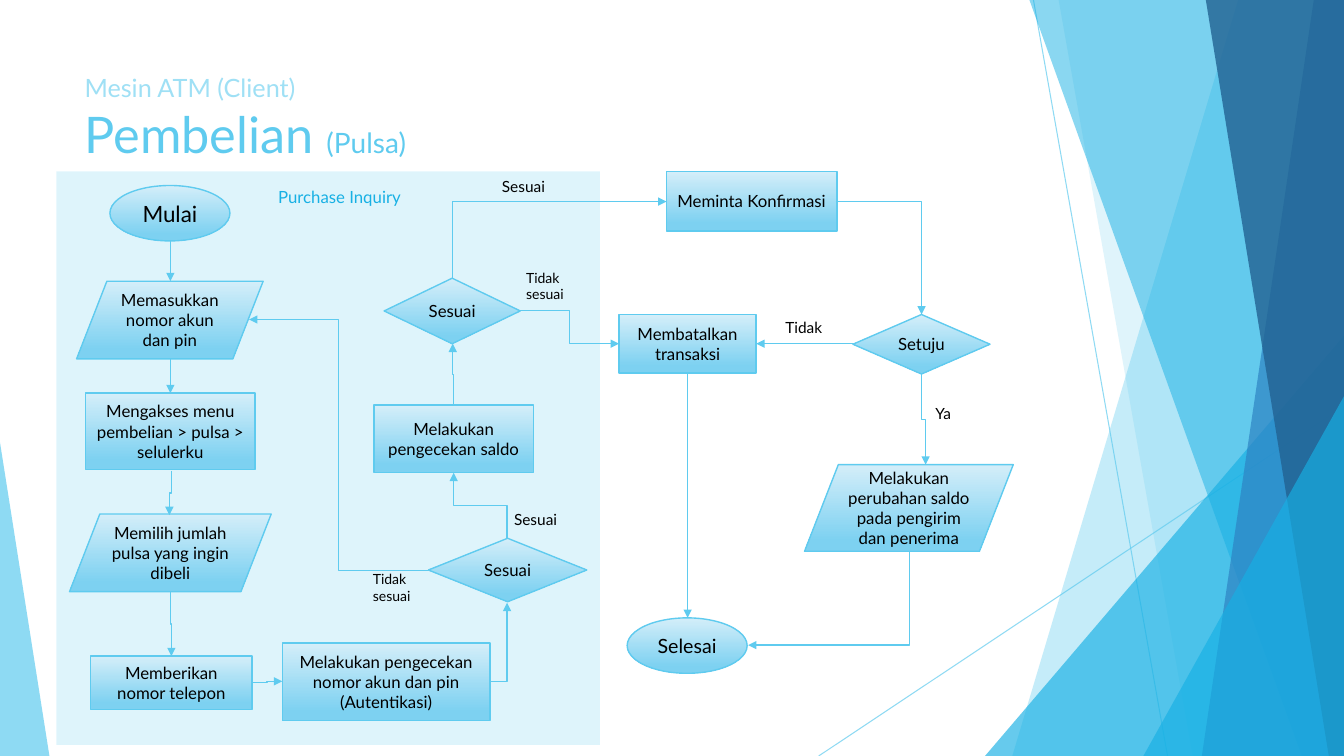
from dataclasses import dataclass
from typing import Any, Optional

from lxml.etree import SubElement
from pptx import Presentation
from pptx.dml.color import RGBColor
from pptx.enum.shapes import MSO_CONNECTOR as LineKind, MSO_SHAPE as Kind
from pptx.enum.text import MSO_ANCHOR as Anchor, MSO_AUTO_SIZE as AutoSize, PP_ALIGN as Align
from pptx.oxml.ns import qn
from pptx.util import Emu, Pt

PX = 9144  # 100 px to the inch
WIDTH, HEIGHT = 1333, 750
FONT = "Lato"
COLORS = {
    "sky": "5FCBEF", "pale": "9FE0F5", "cyan": "17B0E4", "blue": "2E83C3", "navy": "226292",
    "panel": "BFEAF9", "top": "D4EEF9", "bottom": "7DD1F1", "black": "000000",
}
BOX_FRAME = {"word_wrap": True, "vertical_anchor": Anchor.MIDDLE}
LABEL_FRAME = {"word_wrap": False, "auto_size": AutoSize.SHAPE_TO_FIT_TEXT}
TITLE_FRAME = {"word_wrap": True, "vertical_anchor": Anchor.TOP}
Point = tuple[int, int]
Join = Optional[tuple[str, int]]


@dataclass
class Facet:
    corners: list[Point]
    color: str
    alpha: int


@dataclass
class Wedge:
    area: tuple[int, int, int, int]
    apex: int
    color: str
    alpha: int


@dataclass
class Step:
    name: str
    kind: Kind
    area: tuple[int, int, int, int]
    text: str
    size: int = 12


@dataclass
class Link:
    start: Point
    end: Point
    axis: str = "v"  # direction of the first leg
    corners: int = 2
    begin_join: Join = None
    end_join: Join = None


@dataclass
class Label:
    area: tuple[int, int, int, int]
    text: str
    size: int = 11
    color: str = "black"


FACETS_BACK = [
    Facet([(1228, 0), (1333, 0), (1333, 750), (1004, 750)], "sky", 36),
    Facet([(1050, 0), (1333, 0), (1333, 750), (1183, 750)], "sky", 20),
    Wedge((977, 333, 356, 417), 1, "cyan", 66),
    Facet([(1021, 0), (1333, 0), (1333, 750), (1291, 750)], "cyan", 50),
    Facet([(1303, 0), (1333, 0), (1333, 750), (1192, 750)], "blue", 70),
    Facet([(1196, 0), (1333, 0), (1333, 750), (1318, 750)], "navy", 80),
    Wedge((1134, 393, 199, 357), 1, "cyan", 66),
    Wedge((0, 439, 49, 311), 0, "sky", 70),
]
RAYS = [Link((1025, 0), (1158, 750)), Link((1333, 403), (812, 750))]
STEPS = [
    Step("start", Kind.OVAL, (109, 184, 119, 55), "Mulai", 16),
    Step("finish", Kind.OVAL, (622, 613, 119, 55), "Selesai", 14),
    Step("confirm", Kind.RECTANGLE, (661, 170, 169, 59), "Meminta Konfirmasi"),
    Step("account", Kind.PARALLELOGRAM, (76, 279, 185, 77), "Memasukkan nomor akun dan pin"),
    Step("amount", Kind.PARALLELOGRAM, (69, 510, 200, 77), "Memilih jumlah pulsa yang ingin dibeli"),
    Step("login valid", Kind.DIAMOND, (425, 534, 157, 63), "Sesuai"),
    Step("transfer", Kind.PARALLELOGRAM, (798, 461, 207, 86),
         "Melakukan perubahan saldo pada pengirim dan penerima"),
    Step("menu", Kind.RECTANGLE, (85, 390, 168, 76), "Mengakses menu pembelian > pulsa > selulerku"),
    Step("phone", Kind.RECTANGLE, (90, 651, 160, 53), "Memberikan nomor telepon"),
    Step("balance valid", Kind.DIAMOND, (381, 276, 135, 65), "Sesuai"),
    Step("agree", Kind.DIAMOND, (846, 312, 136, 59), "Setuju"),
    Step("cancel", Kind.RECTANGLE, (614, 312, 136, 58), "Membatalkan\ntransaksi"),
    Step("login", Kind.RECTANGLE, (280, 638, 206, 77),
         "Melakukan pengecekan nomor akun dan pin\n(Autentikasi)"),
    Step("balance", Kind.RECTANGLE, (371, 402, 158, 67), "Melakukan pengecekan saldo"),
]
LINKS = [
    Link((169, 239), (169, 279)),
    Link((169, 356), (169, 390), end_join=("menu", 0)),
    Link((170, 467), (168, 511)),
    Link((169, 587), (170, 651)),
    Link((250, 677), (280, 676), "h"),
    Link((486, 676), (503, 598), "h", 1),
    Link((425, 566), (247, 317), "h"),
    Link((503, 534), (450, 469)),
    Link((450, 402), (449, 341)),
    Link((449, 276), (661, 200), "v", 1),
    Link((516, 308), (614, 341), "h"),
    Link((829, 200), (914, 312), "h", 1),
    Link((846, 341), (750, 341), end_join=("cancel", 3)),
    Link((914, 371), (918, 461)),
    Link((682, 370), (682, 613), begin_join=("cancel", 2)),
    Link((902, 547), (742, 640), "v", 1),
]
LABELS = [
    Label((500, 501, 63, 29), "Sesuai"),
    Label((360, 561, 59, 44), "Tidak\nsesuai", 10),
    Label((266, 180, 144, 30), "Purchase Inquiry", 12, "cyan"),
    Label((488, 171, 63, 29), "Sesuai"),
    Label((512, 262, 59, 44), "Tidak\nsesuai", 10),
    Label((918, 396, 37, 29), "Ya"),
    Label((769, 311, 58, 29), "Tidak"),
]


def px(*lengths: int) -> list[Emu]:
    return [Emu(round(length * PX)) for length in lengths]


def rgb(name: str) -> RGBColor:
    return RGBColor.from_string(COLORS[name])


def set_alpha(shape: Any, percent: int) -> None:
    color = next(shape.element.spPr.iter(qn("a:srgbClr")))
    SubElement(color, qn("a:alpha")).set("val", str(percent * 1000))


def apply_format(target: Any, values: dict[str, Any]) -> None:
    for name, value in values.items():
        setattr(target, name, value)


def add_run(para: Any, text: str, size: int, color: str) -> None:
    run = para.add_run()
    run.text = text
    apply_format(run.font, {"name": FONT, "size": Pt(size)})
    run.font.color.rgb = rgb(color)


def write(frame: Any, text: str, size: int, color: str, align: Align) -> None:
    for index, line in enumerate(text.split("\n")):
        para = frame.add_paragraph() if index else frame.paragraphs[0]
        para.alignment = align
        add_run(para, line, size, color)


def paint(shape: Any, color: str, alpha: int) -> None:
    shape.shadow.inherit = False
    shape.fill.solid()
    shape.fill.fore_color.rgb = rgb(color)
    shape.line.fill.background()
    set_alpha(shape, alpha)


def draw_facet(page: Any, facet: Facet | Wedge) -> None:
    if isinstance(facet, Wedge):
        shape = page.shapes.add_shape(Kind.ISOSCELES_TRIANGLE, *px(*facet.area))
        shape.adjustments[0] = facet.apex
    else:
        builder = page.shapes.build_freeform(*facet.corners[0], scale=PX)
        builder.add_line_segments(facet.corners[1:], close=True)
        shape = builder.convert_to_shape()
    paint(shape, facet.color, facet.alpha)


def draw_step(page: Any, step: Step) -> Any:
    box = page.shapes.add_shape(step.kind, *px(*step.area))
    box.shadow.inherit = False
    if step.kind == Kind.PARALLELOGRAM:
        box.adjustments[0] = 0.39
    box.fill.gradient()
    box.fill.gradient_angle = 270
    for stop, color, position in zip(box.fill.gradient_stops, ("top", "bottom"), (0, 0.88)):
        stop.color.rgb = rgb(color)
        stop.position = position
    box.line.color.rgb = rgb("sky")
    box.line.width = Pt(1)
    apply_format(box.text_frame, BOX_FRAME)
    write(box.text_frame, step.text, step.size, "black", Align.CENTER)
    return box


def style_line(line: Any, width: float, arrow: bool) -> None:
    line.line.color.rgb = rgb("sky")
    line.line.width = Pt(width)
    if arrow:
        SubElement(line.line._get_or_add_ln(), qn("a:tailEnd")).set("type", "triangle")
    SubElement(line.element.spPr, qn("a:effectLst"))


def draw_straight(page: Any, link: Link) -> Any:
    return page.shapes.add_connector(LineKind.STRAIGHT, *px(*link.start, *link.end))


def draw_elbow(page: Any, link: Link) -> Any:
    (x1, y1), (x2, y2) = link.start, link.end
    dx, dy = x2 - x1, y2 - y1
    # A first leg that runs vertically is a horizontal one turned by a quarter
    if link.axis == "h":
        along, across, turn = abs(dx), abs(dy), 0
        flips = {"flipH": dx < 0, "flipV": dy < 0}
    else:
        along, across, turn = abs(dy), abs(dx), 90 if dy > 0 else 270
        flips = {"flipV": (dx > 0) == (dy > 0)}
    left, top = (x1 + x2 - along) / 2, (y1 + y2 - across) / 2
    line = page.shapes.add_connector(LineKind.ELBOW, *px(left, top, left + along, top + across))
    line.rotation = turn
    properties = line.element.spPr
    for name, flipped in flips.items():
        if flipped:
            properties.find(qn("a:xfrm")).set(name, "1")
    properties.find(qn("a:prstGeom")).set("prst", f"bentConnector{link.corners + 1}")
    return line


def draw_link(page: Any, link: Link, boxes: dict[str, Any]) -> None:
    straight = link.start[0] == link.end[0] or link.start[1] == link.end[1]
    line = draw_straight(page, link) if straight else draw_elbow(page, link)
    for connect, join in ((line.begin_connect, link.begin_join), (line.end_connect, link.end_join)):
        if join:
            connect(boxes[join[0]], join[1])
    style_line(line, 1, arrow=True)


def draw_label(page: Any, label: Label) -> None:
    box = page.shapes.add_textbox(*px(*label.area))
    apply_format(box.text_frame, LABEL_FRAME)
    write(box.text_frame, label.text, label.size, label.color, Align.LEFT)


def draw_title(page: Any) -> None:
    frame = page.shapes.add_textbox(*px(74, 67, 408, 102)).text_frame
    apply_format(frame, TITLE_FRAME)
    para = frame.paragraphs[0]
    add_run(para, "Mesin ATM (Client)", 18, "pale")
    para.add_line_break()
    add_run(para, "Pembelian ", 36, "sky")
    add_run(para, "(Pulsa)", 20, "sky")


def main() -> None:
    deck = Presentation()
    deck.slide_width, deck.slide_height = px(WIDTH, HEIGHT)
    page = deck.slides.add_slide(deck.slide_layouts[6])
    # Backdrop
    for ray in RAYS:
        line = draw_straight(page, ray)
        style_line(line, 0.75, arrow=False)
        set_alpha(line, 70)
    for facet in FACETS_BACK:
        draw_facet(page, facet)
    # Inquiry panel and title
    paint(page.shapes.add_shape(Kind.RECTANGLE, *px(56, 170, 539, 569)), "panel", 50)
    draw_title(page)
    # Flowchart
    boxes = {step.name: draw_step(page, step) for step in STEPS}
    for link in LINKS:
        draw_link(page, link, boxes)
    for label in LABELS:
        draw_label(page, label)
    deck.save("out.pptx")


if __name__ == "__main__":
    main()
